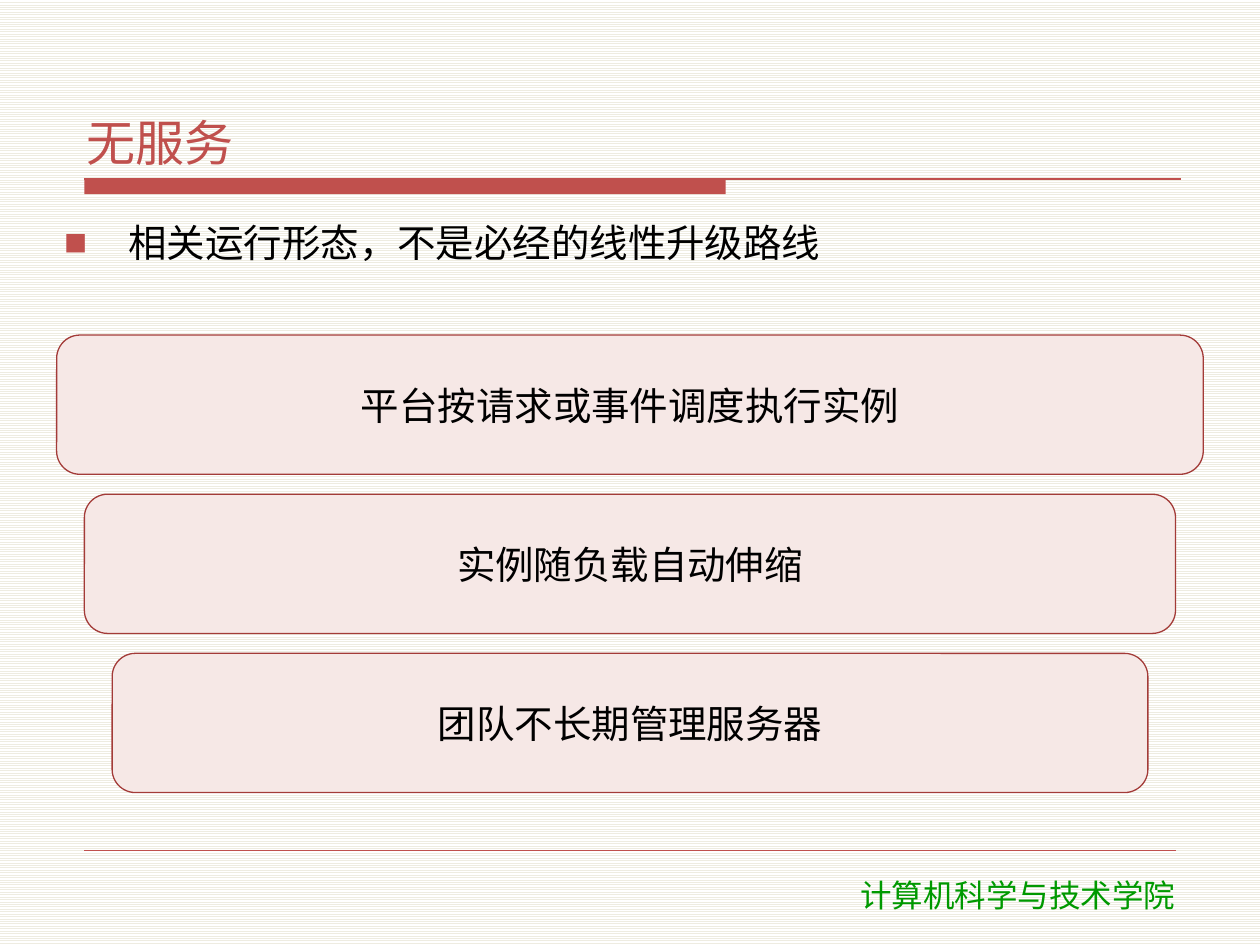
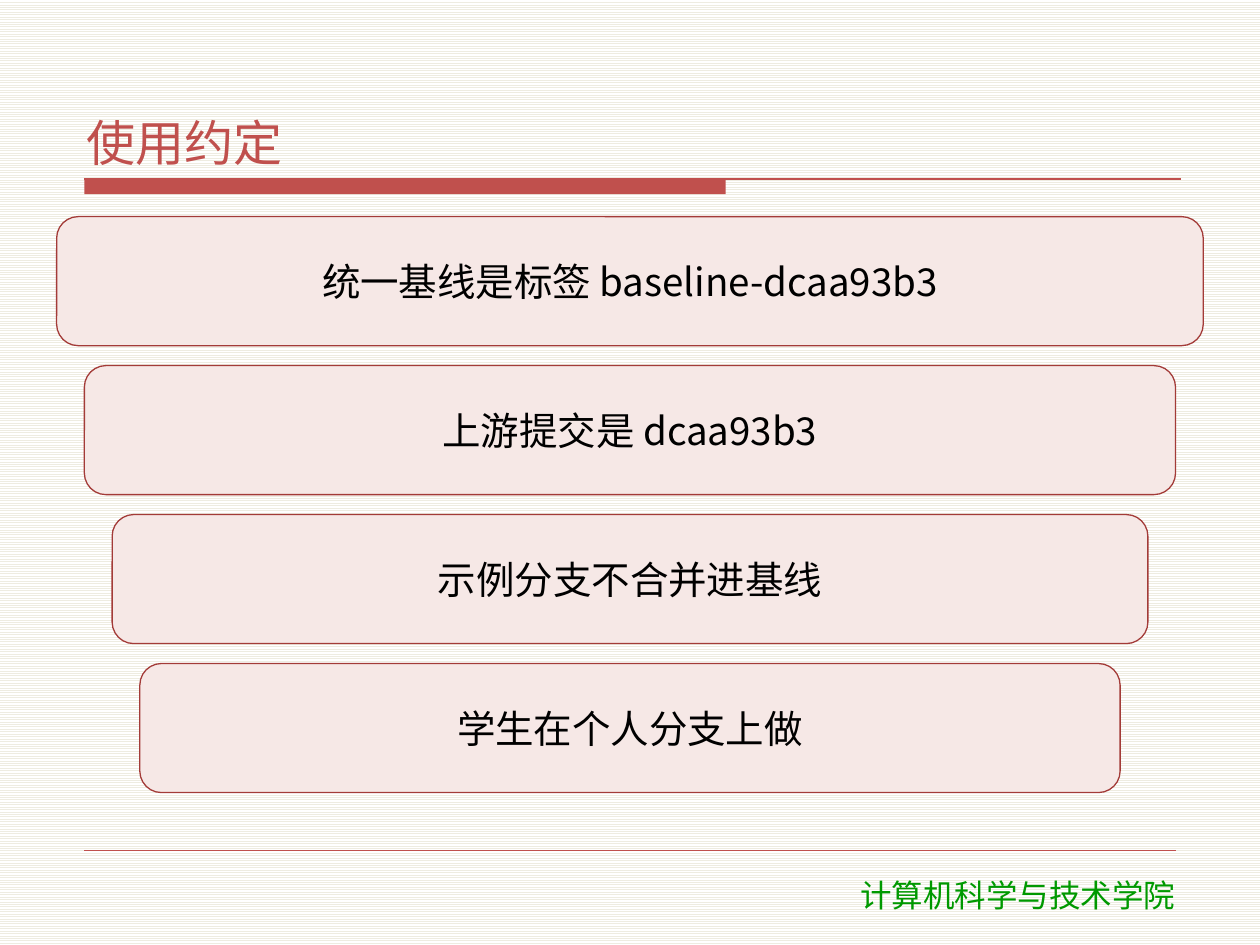
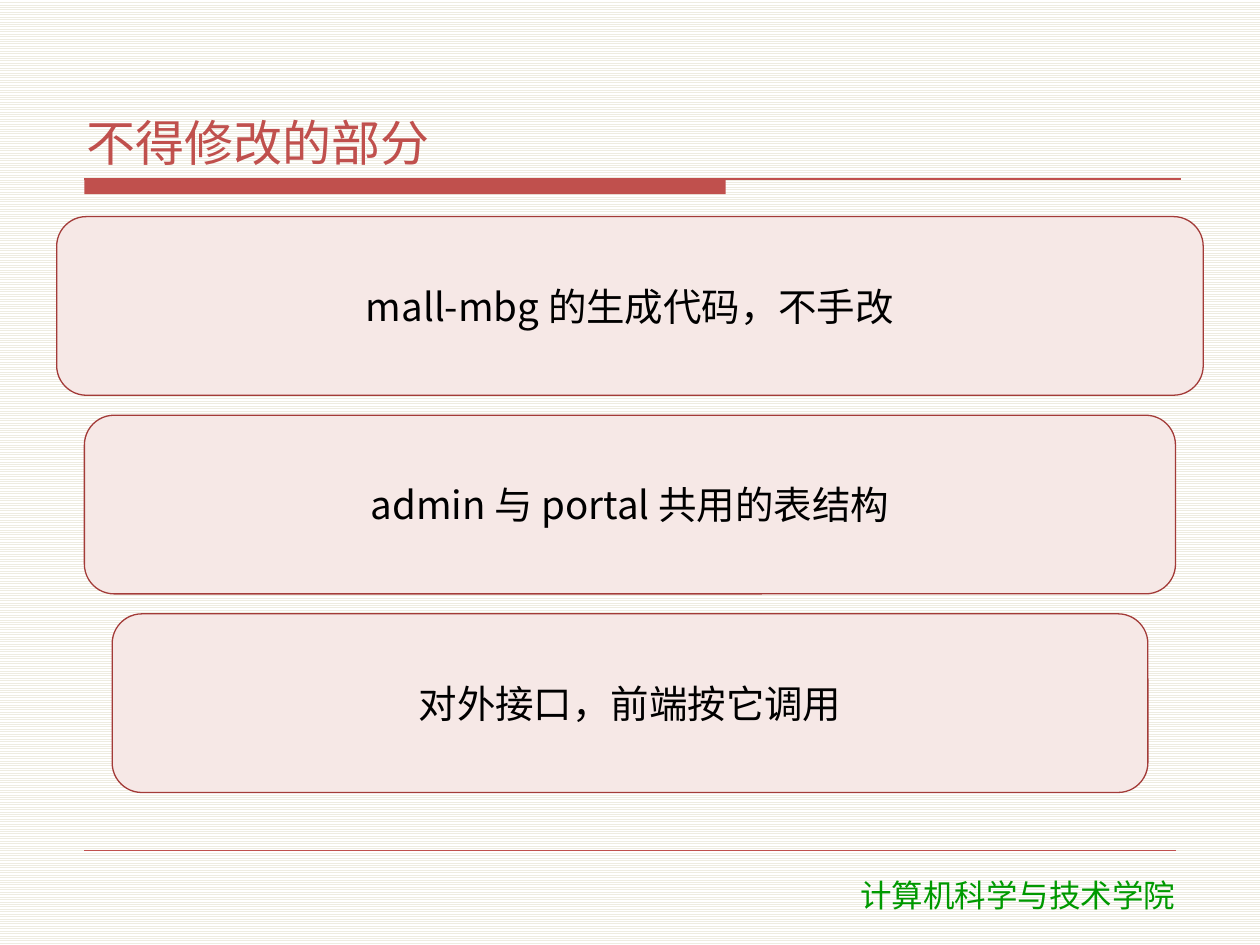
from lxml.etree import SubElement as Sub
from pptx import Presentation
from pptx.dml.color import RGBColor as RGB
from pptx.enum.dml import MSO_PATTERN as PAT
from pptx.enum.shapes import MSO_CONNECTOR as LINK, MSO_SHAPE as SHAPE
from pptx.enum.text import MSO_ANCHOR as ANCHOR, MSO_AUTO_SIZE as FIT, PP_ALIGN as ALIGN
from pptx.oxml.ns import qn
from pptx.util import Pt

# Shared look
HUES = {"red": "C0504D", "edge": "A33B38", "pink": "F6E8E6", "ink": "000000",
        "green": "009900", "sand": "EEECE1", "white": "FFFFFF"}
SANS, LATIN = "Noto Sans CJK SC", "DejaVu Sans"
TIGHT = {"margin_left": Pt(4.32), "margin_right": Pt(4.32),
         "margin_top": Pt(1.44), "margin_bottom": Pt(1.44)}
LEFT, TOP, WIDE = 32.4, 123.8, 655.2
FLOOR, GAP, STEP = 452.9, 11.4, 15.84
SCHOOL = "计算机科学与技术学院"

# Title, lead point, tiers
PAGES = [
    ("无服务", "相关运行形态，不是必经的线性升级路线",
     ["平台按请求或事件调度执行实例", "实例随负载自动伸缩", "团队不长期管理服务器"]),
    ("使用约定", None,
     ["统一基线是标签 baseline-dcaa93b3", "上游提交是 dcaa93b3",
      "示例分支不合并进基线", "学生在个人分支上做"]),
    ("不得修改的部分", None,
     ["mall-mbg 的生成代码，不手改", "admin 与 portal 共用的表结构", "对外接口，前端按它调用"]),
]


def hue(name):
    return RGB.from_string(HUES[name])


def apply(item, form):
    for key, val in form.items():
        setattr(item, key, val)


def write(shape, text, size, tint, face=SANS, frame=TIGHT, para=None):
    """Fill a shape with one styled paragraph and return it."""
    body = shape.text_frame
    apply(body, {"word_wrap": True, **frame})
    line = body.paragraphs[0]
    apply(line, para or {})
    run = line.add_run()
    run.text = text
    apply(run.font, {"name": face, "size": Pt(size)})
    run.font.color.rgb = hue(tint)
    if face == SANS:
        Sub(run._r.get_or_add_rPr(), qn("a:ea"), typeface=face)
    return line


def box(slide, *spot):
    return slide.shapes.add_textbox(*map(Pt, spot))


def block(slide, kind, spot, fill, edge=None):
    shape = slide.shapes.add_shape(kind, *map(Pt, spot))
    shape.shadow.inherit = False
    shape.fill.solid()
    shape.fill.fore_color.rgb = hue(fill)
    if edge:
        shape.line.color.rgb = hue(edge)
        shape.line.width = Pt(0.75)
    else:
        shape.line.fill.background()
    return shape


def rule(slide, start, end, y, width):
    line = slide.shapes.add_connector(LINK.STRAIGHT, Pt(start), Pt(y), Pt(end), Pt(y))
    line.line.color.rgb = hue("red")
    line.line.width = Pt(width)
    Sub(line._element.spPr, qn("a:effectLst"))


def base(deck, title):
    """Add a slide with its ground, title band and footer."""
    slide = deck.slides.add_slide(deck.slide_layouts[6])
    fill = slide.background.fill
    fill.patterned()
    fill.pattern = PAT.LIGHT_HORIZONTAL
    fill.fore_color.rgb = hue("sand")
    fill.back_color.rgb = hue("white")
    # Title band
    block(slide, SHAPE.RECTANGLE, (48.24, 102.24, 366.48, 8.64), "red")
    rule(slide, 48.24, 674.64, 102.24, 0.75)
    # Footer
    rule(slide, 48.24, 671.76, 486, 0.25)
    write(box(slide, 437, 496.8, 289.4, 28.8), SCHOOL, 18, "green", LATIN,
          {"auto_size": FIT.SHAPE_TO_FIT_TEXT}, {"alignment": ALIGN.CENTER})
    # Title
    write(box(slide, 45.36, 23.76, 630, 75.6), title, 28, "red",
          frame={**TIGHT, "vertical_anchor": ANCHOR.BOTTOM},
          para={"space_after": Pt(2)})
    return slide


def point(slide, text):
    line = write(box(slide, LEFT, TOP, WIDE, 61.9), text, 22, "ink",
                 para={"space_after": Pt(2)})
    props = line._p.get_or_add_pPr()
    apply_xml = {"marL": Pt(36.72), "indent": -Pt(36.72)}
    for key, val in apply_xml.items():
        props.set(key, str(int(val)))
    Sub(Sub(props, qn("a:buClr")), qn("a:srgbClr"), val=HUES["red"])
    Sub(props, qn("a:buSzPct"), val="60000")
    Sub(props, qn("a:buFont"), typeface=SANS)
    Sub(props, qn("a:buChar"), char="■")


def tiers(slide, texts, top):
    """Stack equal boxes, each inset one step further."""
    count = len(texts)
    high = (FLOOR - top - GAP * (count - 1)) / count
    for i, text in enumerate(texts):
        spot = (LEFT + STEP * i, top + (high + GAP) * i, WIDE - 2 * STEP * i, high)
        tier = block(slide, SHAPE.ROUNDED_RECTANGLE, spot, "pink", "edge")
        write(tier, text, 22, "ink",
              frame={**TIGHT, "vertical_anchor": ANCHOR.MIDDLE},
              para={"alignment": ALIGN.CENTER, "space_after": Pt(2)})


def main():
    deck = Presentation()
    apply(deck, {"slide_width": Pt(720), "slide_height": Pt(540)})
    for title, lead, texts in PAGES:
        slide = base(deck, title)
        if lead:
            point(slide, lead)
        tiers(slide, texts, 191.5 if lead else TOP)
    deck.save("out.pptx")


if __name__ == "__main__":
    main()
